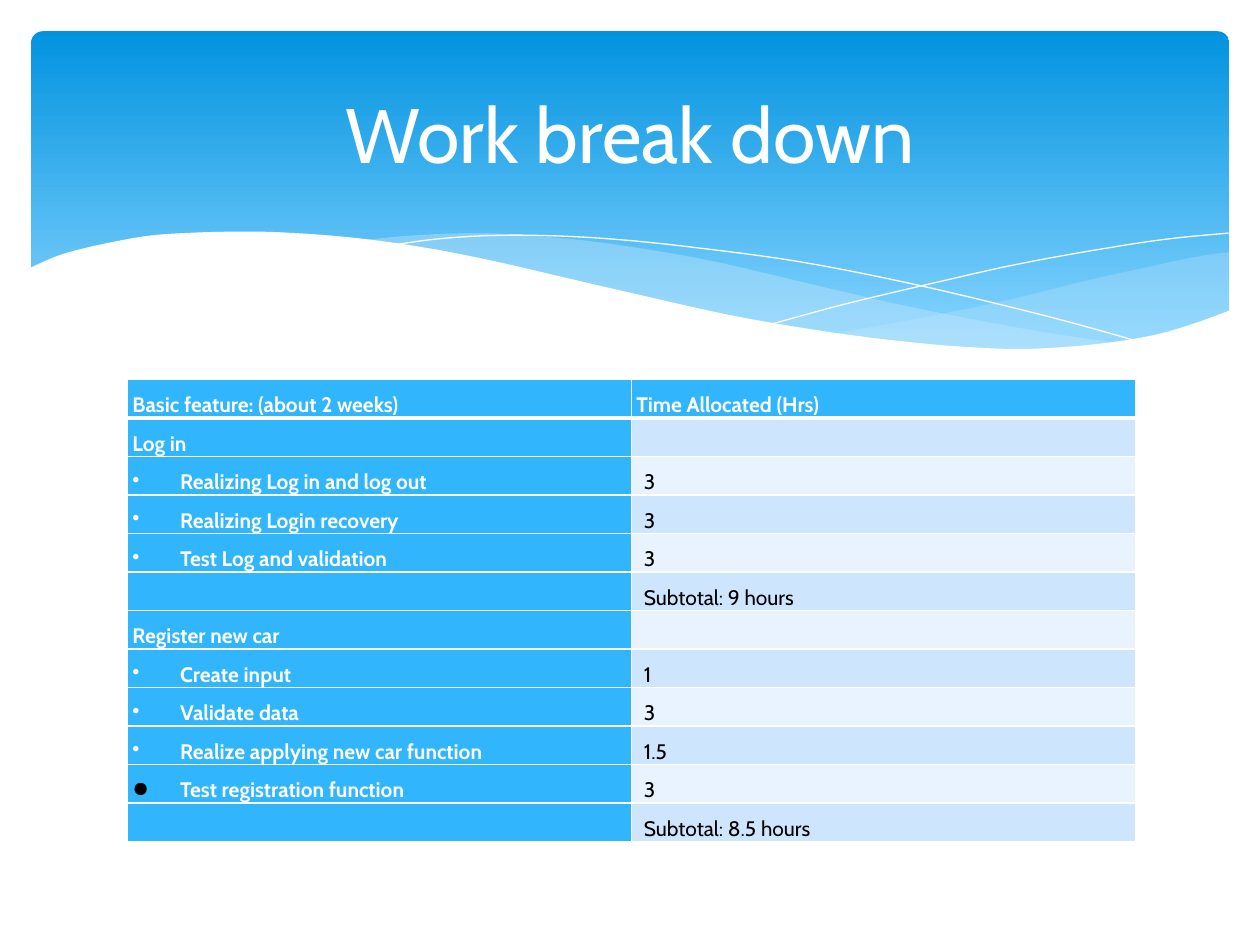
from dataclasses import dataclass

from lxml import etree
from pptx import Presentation, util as u
from pptx.dml.color import RGBColor
from pptx.enum import shapes, text
from pptx.oxml.ns import qn


@dataclass(frozen=True)
class Theme:
    font: str = "Cabin"
    title_size: int = 44
    cell_size: int = 12
    white: str = "FFFFFF"
    black: str = "000000"
    sky_top: str = "0293E0"
    sky_bottom: str = "83D3FE"
    mist: str = "C6E7FC"
    accent: str = "31B6FD"
    bands: tuple = ("CEE5FE", "E8F3FF")


def inch(value):
    return u.Cm(value * 2.54)


def smooth(knots, steps=5):
    """Catmull-Rom curve through the knots."""
    ends = [knots[0], *knots, knots[-1]]
    points = [knots[0]]
    for a, b, c, d in zip(ends, ends[1:], ends[2:], ends[3:]):
        for i in range(1, steps + 1):
            t = i / steps
            points.append(tuple(
                (2 * q + (r - p) * t + (2 * p - 5 * q + 4 * r - w) * t ** 2
                 + (3 * q - p - 3 * r + w) * t ** 3) / 2
                for p, q, r, w in zip(a, b, c, d)))
    return points


class Deck:
    def __init__(self, theme):
        self.theme = theme
        self.prs = Presentation()
        self.prs.slide_width, self.prs.slide_height = u.Cm(25.4), u.Cm(19.05)
        self.s = self.prs.slides.add_slide(self.prs.slide_layouts[5])

    def style(self, p, size, color, bold=False):
        for r in p.runs:
            r.font.name, r.font.size, r.font.bold = self.theme.font, u.Pt(size), bold
            r.font.color.rgb = RGBColor.from_string(color)

    def panel(self, left, top, width, height):
        sp = self.s.shapes.add_shape(shapes.MSO_SHAPE.ROUNDED_RECTANGLE,
                                     left, top, width, height)
        sp.adjustments[0] = 0.034
        sp.shadow.inherit = False
        sp.line.fill.background()
        sp.fill.gradient()
        sp.fill.gradient_angle = 270
        stops = ((0, self.theme.sky_top), (0.9, self.theme.sky_bottom))
        for stop, (position, color) in zip(sp.fill.gradient_stops, stops):
            stop.position = position
            stop.color.rgb = RGBColor.from_string(color)

    def wave(self, points, fill=None, opacity=100):
        """A filled wave, or a hairline curve when there is no fill."""
        pts = [(inch(x), inch(y)) for x, y in points]
        builder = self.s.shapes.build_freeform(*pts[0])
        builder.add_line_segments(pts[1:], close=fill is not None)
        sp = builder.convert_to_shape()
        sp.shadow.inherit = False
        if fill is None:
            sp.fill.background()
            sp.line.color.rgb = RGBColor.from_string(self.theme.white)
            sp.line.width = u.Pt(0)
            return
        sp.line.fill.background()
        sp.fill.solid()
        sp.fill.fore_color.rgb = RGBColor.from_string(fill)
        if opacity < 100:
            clr = sp._element.spPr.find(qn("a:solidFill"))[0]
            etree.SubElement(clr, qn("a:alpha"), val=str(opacity * 1000))

    def title(self, words, left, top, width, height):
        sp = self.s.shapes.title
        sp.left, sp.top, sp.width, sp.height = left, top, width, height
        tf = sp.text_frame
        tf.text = words
        tf.vertical_anchor = text.MSO_ANCHOR.MIDDLE
        p = tf.paragraphs[0]
        p.alignment = text.PP_ALIGN.CENTER
        self.style(p, self.theme.title_size, self.theme.white)
        sp._element.getparent().append(sp._element)  # in front of the waves

    def borders(self, cell, row):
        tcPr = cell._tc.get_or_add_tcPr()
        thick = {0: "lnB", 1: "lnT"}.get(row)
        for side in ("lnL", "lnR", "lnT", "lnB"):
            width = u.Pt(3 if side == thick else 1)
            ln = etree.SubElement(tcPr, qn(f"a:{side}"), w=str(width))
            fill = etree.SubElement(ln, qn("a:solidFill"))
            etree.SubElement(fill, qn("a:srgbClr"), val=self.theme.white)

    def bullet(self, p, char):
        pPr = p._p.get_or_add_pPr()
        if char == "●":
            clr = etree.SubElement(pPr, qn("a:buClr"))
            etree.SubElement(clr, qn("a:srgbClr"), val=self.theme.black)
        etree.SubElement(pPr, qn("a:buChar"), char=char)

    def indent(self, p, left, first=0):
        pPr = p._p.get_or_add_pPr()
        pPr.set("marL", str(u.Cm(left)))
        pPr.set("indent", str(u.Cm(first)))

    def cell(self, cell, words, row, col, bullet=None):
        th = self.theme
        label = row == 0 or col == 0
        self.borders(cell, row)
        cell.fill.solid()
        cell.fill.fore_color.rgb = RGBColor.from_string(
            th.accent if label else th.bands[(row - 1) % 2])
        cell.margin_left = cell.margin_right = u.Cm(0.1)
        cell.margin_top = cell.margin_bottom = 0
        p = cell.text_frame.paragraphs[0]
        if not words:
            p._p.get_or_add_endParaRPr().set("sz", str(th.cell_size * 100))
            return
        p.text = words
        p.line_spacing = 1.5
        self.style(p, th.cell_size, th.white if label else th.black, label)
        if bullet:
            self.indent(p, 0.96, -0.96)
            self.bullet(p, bullet)
        elif not label:
            self.indent(p, 0.15)

    def table(self, rows, left, top, width, row_height):
        tbl = self.s.shapes.add_table(len(rows), 2, left, top, width,
                                      row_height * len(rows)).table
        for i, (bullet, *words) in enumerate(rows):
            tbl.rows[i].height = row_height
            for j, word in enumerate(words):
                self.cell(tbl.cell(i, j), word, i, j, bullet if j == 0 else None)


# Wave knots, in inches
RIGHT_BAND_TOP = [(9.76, 2), (9.48, 2.04), (9.06, 2.13), (8.61, 2.23),
                  (8.05, 2.37), (7.53, 2.48), (7.06, 2.57), (6.61, 2.65)]
RIGHT_BAND_BOTTOM = [(6.61, 2.65), (7.05, 2.71), (7.45, 2.75), (7.81, 2.77),
                     (8.14, 2.78), (8.54, 2.76), (8.89, 2.72), (9.21, 2.65),
                     (9.49, 2.57), (9.76, 2.47)]
LONG_BAND_TOP = [(8.93, 2.73), (8.37, 2.65), (7.75, 2.54), (7.06, 2.4),
                 (6.29, 2.22), (5.69, 2.08), (5.14, 1.98), (4.65, 1.91),
                 (4.2, 1.87), (3.8, 1.85), (3.44, 1.86), (3.13, 1.88), (2.86, 1.91)]
LONG_BAND_BOTTOM = [(2.86, 1.91), (3.42, 1.99), (4.04, 2.11), (4.49, 2.22),
                    (5.3, 2.4), (6.01, 2.55), (6.65, 2.66), (7.22, 2.74),
                    (7.73, 2.77), (8.18, 2.78), (8.57, 2.77), (8.93, 2.73)]
FALLING_LINE = [(3.09, 1.95), (3.44, 1.9), (3.87, 1.87), (4.33, 1.87), (4.89, 1.9),
                (5.56, 1.97), (6.36, 2.08), (7.27, 2.26), (8.31, 2.51), (9.07, 2.72)]
RISING_LINE = [(6.13, 2.57), (6.72, 2.41), (7.48, 2.23), (8.06, 2.1),
               (8.66, 1.99), (9.24, 1.9), (9.75, 1.85)]
WHITE_EDGE = [(9.77, 2.46), (9.5, 2.56), (9.2, 2.65), (8.87, 2.71), (8.5, 2.75),
              (8.09, 2.77), (7.61, 2.75), (7.08, 2.7), (6.48, 2.62), (5.79, 2.5),
              (5.03, 2.33), (4.47, 2.2), (3.91, 2.07), (3.4, 1.97), (2.92, 1.9),
              (2.5, 1.86), (2.11, 1.84), (1.77, 1.84), (1.46, 1.85), (1.19, 1.87),
              (0.95, 1.91), (0.67, 1.97), (0.46, 2.03), (0.23, 2.13)]

# Bullet, task, hours
ROWS = [
    (None, "Basic feature: (about 2 weeks)", "Time Allocated (Hrs)"),
    (None, "Log in", ""),
    ("•", "Realizing Log in and log out", "3"),
    ("•", "Realizing Login recovery", "3"),
    ("•", "Test Log and validation", "3"),
    (None, "", "Subtotal: 9 hours"),
    (None, "Register new car", ""),
    ("•", "Create input", "1"),
    ("•", "Validate data", "3"),
    ("•", "Realize applying new car function", "1.5"),
    ("●", "Test registration function", "3"),
    (None, "", "Subtotal: 8.5 hours"),
]


def main():
    theme = Theme()
    deck = Deck(theme)
    # Header panel and waves
    deck.panel(u.Cm(0.63), u.Cm(0.63), u.Cm(24.15), u.Cm(6.86))
    deck.wave(smooth(RIGHT_BAND_TOP) + smooth(RIGHT_BAND_BOTTOM), theme.mist, 29)
    deck.wave(smooth(LONG_BAND_TOP) + smooth(LONG_BAND_BOTTOM), theme.mist, 40)
    deck.wave(smooth(FALLING_LINE))
    deck.wave(smooth(RISING_LINE))
    deck.wave(smooth(WHITE_EDGE) + [(0.23, 3.29), (9.77, 3.29)], theme.white)
    # Task table and title
    deck.table(ROWS, u.Cm(2.57), u.Cm(7.65), u.Cm(20.32), u.Cm(0.68))
    deck.title("Work break down", u.Cm(1.27), u.Cm(0.94), u.Cm(22.86), u.Cm(3.48))
    deck.prs.save("out.pptx")


if __name__ == "__main__":
    main()
